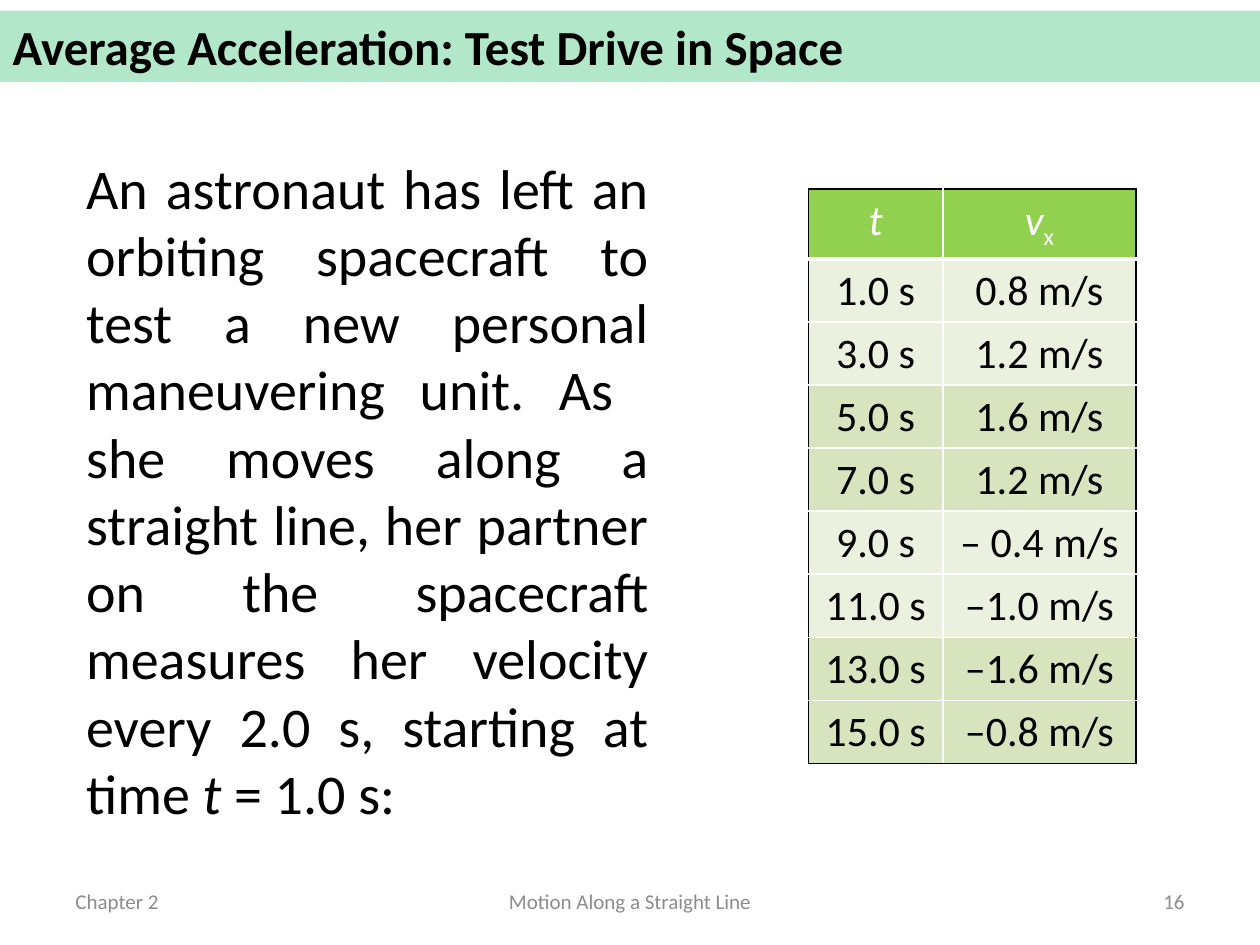
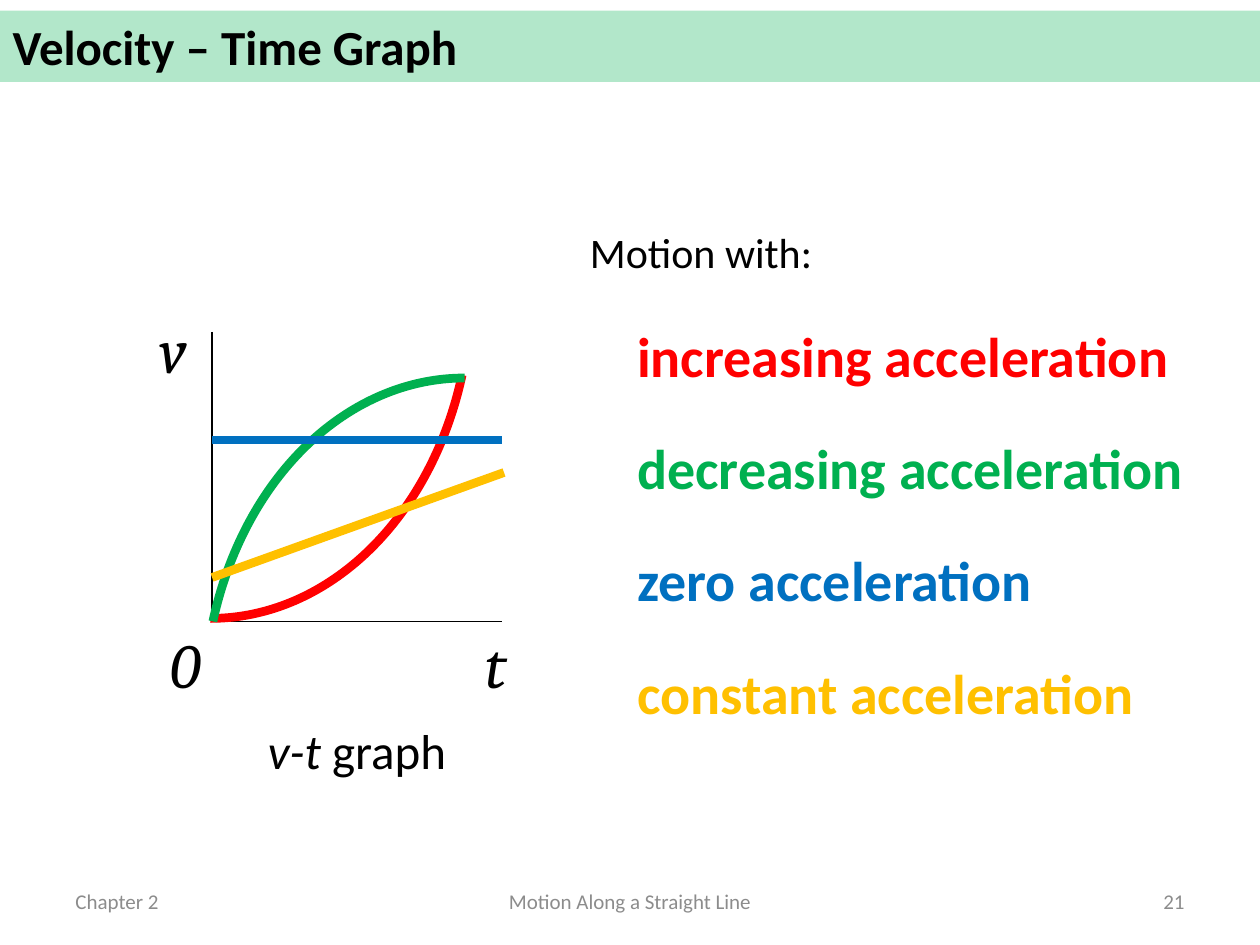
from lxml.etree import SubElement
from pptx import Presentation
from pptx.dml.color import RGBColor
from pptx.enum.shapes import MSO_CONNECTOR as CONN, MSO_SHAPE as SHAPE
from pptx.enum.text import MSO_ANCHOR as ANCHOR, MSO_AUTO_SIZE as FIT, PP_ALIGN as ALIGN
from pptx.oxml.ns import qn
from pptx.util import Emu, Pt

COLORS = {
    "black": "000000", "white": "FFFFFF", "gray": "8C8C8C",
    "red": "FF0000", "green": "00B050", "blue": "0070C0", "amber": "FFC000",
    "header": "92D050", "light": "EBF1DE", "dark": "D7E4BD",
}
ALIGNS = {"l": ALIGN.LEFT, "c": ALIGN.CENTER, "r": ALIGN.RIGHT, "j": ALIGN.JUSTIFY}
EMU_PER_PX = 7620  # 120 px to the inch


def px(n):
    return Emu(n * EMU_PER_PX)


def rgb(name):
    return RGBColor.from_string(COLORS[name])


def write(tf, text, size=24, color="black", font="Calibri", bold=False,
          italic=False, align="j"):
    """Fill a text frame; text is a string or a list of (text, style) runs,
    where style is "" or holds i (italic) or sub (subscript)."""
    p = tf.paragraphs[0]
    p.alignment = ALIGNS[align]
    p.space_before = Pt(0)
    for part, style in [(text, "")] if isinstance(text, str) else text:
        r = p.add_run()
        r.text = part
        f = r.font
        f.name, f.size, f.bold = font, Pt(size), bold
        f.italic = italic or style == "i"
        f.color.rgb = rgb(color)
        if style == "sub":
            r._r.get_or_add_rPr().set("baseline", "-25000")
    return p


class Deck:
    def __init__(self):
        self.prs = Presentation()
        self.prs.slide_width, self.prs.slide_height = px(1200), px(900)
        self.slide = None

    def add_slide(self, layout, title, number):
        self.slide = self.prs.slides.add_slide(self.prs.slide_layouts[layout])
        # Title band
        s = self.place(self.slide.shapes.title, 0, 10, 1200, 68)
        s.fill.solid()
        s.fill.fore_color.rgb = rgb("green")
        clr = s._element.spPr.find(qn("a:solidFill"))[0]
        SubElement(clr, qn("a:alpha")).set("val", "30000")
        write(s.text_frame, title, size=28, bold=True)
        # Footer
        for text, x, w, align in (("Chapter 2", 60, 280, "l"),
                                  ("Motion Along a Straight Line", 410, 380, "c"),
                                  (str(number), 860, 280, "r")):
            self.text(text, x, 834, w, 48, anchor=ANCHOR.MIDDLE,
                      size=12, color="gray", align=align)

    def place(self, s, x, y, w, h):
        s.left, s.top, s.width, s.height = px(x), px(y), px(w), px(h)
        s.text_frame.auto_size = FIT.NONE
        s.text_frame.vertical_anchor = ANCHOR.TOP
        return s

    def body(self, text, x, y, w, h, **fmt):
        s = self.place(self.slide.placeholders[1], x, y, w, h)
        pPr = write(s.text_frame, text, **fmt)._p.get_or_add_pPr()
        pPr.set("marL", "0")
        pPr.set("indent", "0")
        SubElement(pPr, qn("a:buNone"))

    def text(self, text, x, y, w, h, anchor=ANCHOR.TOP, wrap=True, **fmt):
        tf = self.slide.shapes.add_textbox(px(x), px(y), px(w), px(h)).text_frame
        tf.word_wrap, tf.vertical_anchor = wrap, anchor
        write(tf, text, **fmt)

    def line(self, x1, y1, x2, y2, color="black", width=0.75):
        s = self.slide.shapes.add_connector(
            CONN.STRAIGHT, px(x1), px(y1), px(x2), px(y2))
        s.line.color.rgb, s.line.width = rgb(color), Pt(width)
        SubElement(s._element.spPr, qn("a:effectLst"))

    def arc(self, x, y, w, h, flip, color, width):
        s = self.slide.shapes.add_shape(SHAPE.ARC, px(x), px(y), px(w), px(h))
        s.adjustments[0], s.adjustments[1] = 162, 204.51
        s._element.spPr.xfrm.set(flip, "1")
        s.shadow.inherit = False
        s.fill.background()
        s.line.color.rgb, s.line.width = rgb(color), Pt(width)

    def table(self, rows, x, y, widths, row_h, fills):
        t = self.slide.shapes.add_table(
            len(rows), len(widths), px(x), px(y),
            px(sum(widths)), px(row_h * len(rows))).table
        t.first_row = t.horz_banding = False
        for col, w in zip(t.columns, widths):
            col.width = px(w)
        last_row, last_col = len(rows) - 1, len(widths) - 1
        for i, row in enumerate(rows):
            t.rows[i].height = px(row_h)
            for j, text in enumerate(row):
                cell = t.cell(i, j)
                write(cell.text_frame, text, align="c",
                      color="black" if i else "white")
                # Black outside, white inside, thick rule around the header
                edges = {"lnL": (j == 0, 1), "lnR": (j == last_col, 1),
                         "lnT": (i == 0, 3 if i == 1 else 1),
                         "lnB": (i == last_row, 1 if i else 3)}
                for tag, (outer, width) in edges.items():
                    self.border(cell, tag, "black" if outer else "white", width)
                cell.fill.solid()
                cell.fill.fore_color.rgb = rgb(fills[i])

    def border(self, cell, tag, color, width):
        ln = SubElement(cell._tc.get_or_add_tcPr(), qn(f"a:{tag}"), w=str(Pt(width)))
        fill = SubElement(ln, qn("a:solidFill"))
        SubElement(fill, qn("a:srgbClr"), val=COLORS[color])


def test_drive(deck):
    deck.add_slide(1, "Average Acceleration: Test Drive in Space", 16)
    deck.body([("An astronaut has left an orbiting spacecraft to test a new "
                "personal maneuvering unit. As  she moves along a straight line, "
                "her partner on the spacecraft measures her velocity every 2.0 s, "
                "starting at time ", ""), ("t", "i"), (" = 1.0 s:", "")],
              70, 140, 560, 659, size=32)
    # Velocity readings, one every 2 s
    speeds = ["0.8", "1.2", "1.6", "1.2", "– 0.4", "–1.0", "–1.6", "–0.8"]
    rows = [([("t", "i")], [("v", "i"), ("x", "sub")])]
    rows += [(f"{2 * n + 1}.0 s", f"{v} m/s") for n, v in enumerate(speeds)]
    fills = ["header"] + ["light", "light", "dark", "dark"] * 2
    deck.table(rows, 770, 180, (128, 184), 60, fills)


def velocity_graph(deck):
    deck.add_slide(5, "Velocity – Time Graph", 21)
    # Axes and their labels
    left, right, base = 202, 478, 592
    deck.line(right, base, left, base)
    deck.line(left, 316, left, base)
    for text, x, y, w in (("v", 140, 290, 42), ("t", 450, 590, 36), ("0", 150, 590, 46)):
        deck.text(text, x, y, w, 68, wrap=False, size=36, font="Cambria", italic=True)
    deck.text([("v-t", "i"), (" graph", "")], 150, 680, 380, 68, size=28, align="c")
    # Curves
    deck.arc(-48, -41, 497, 630, "flipV", "red", 5)
    deck.arc(194, 360, 497, 630, "flipH", "green", 5)
    # Legend
    deck.text("Motion with:", 550, 210, 380, 60)
    legend = (("increasing", "red", 535), ("decreasing", "green", 548),
              ("zero", "blue", 404), ("constant", "amber", 502))
    for n, (kind, color, w) in enumerate(legend):
        deck.text(f"{kind} acceleration", 595, 300 + 107 * n, w, 77,
                  wrap=False, size=32, color=color, bold=True)
    # Straight graphs
    deck.line(right, 419, left, 419, "blue", 5)
    deck.line(480, 450, left, 550, "amber", 5)


def main():
    deck = Deck()
    test_drive(deck)
    velocity_graph(deck)
    deck.prs.save("out.pptx")


if __name__ == "__main__":
    main()
